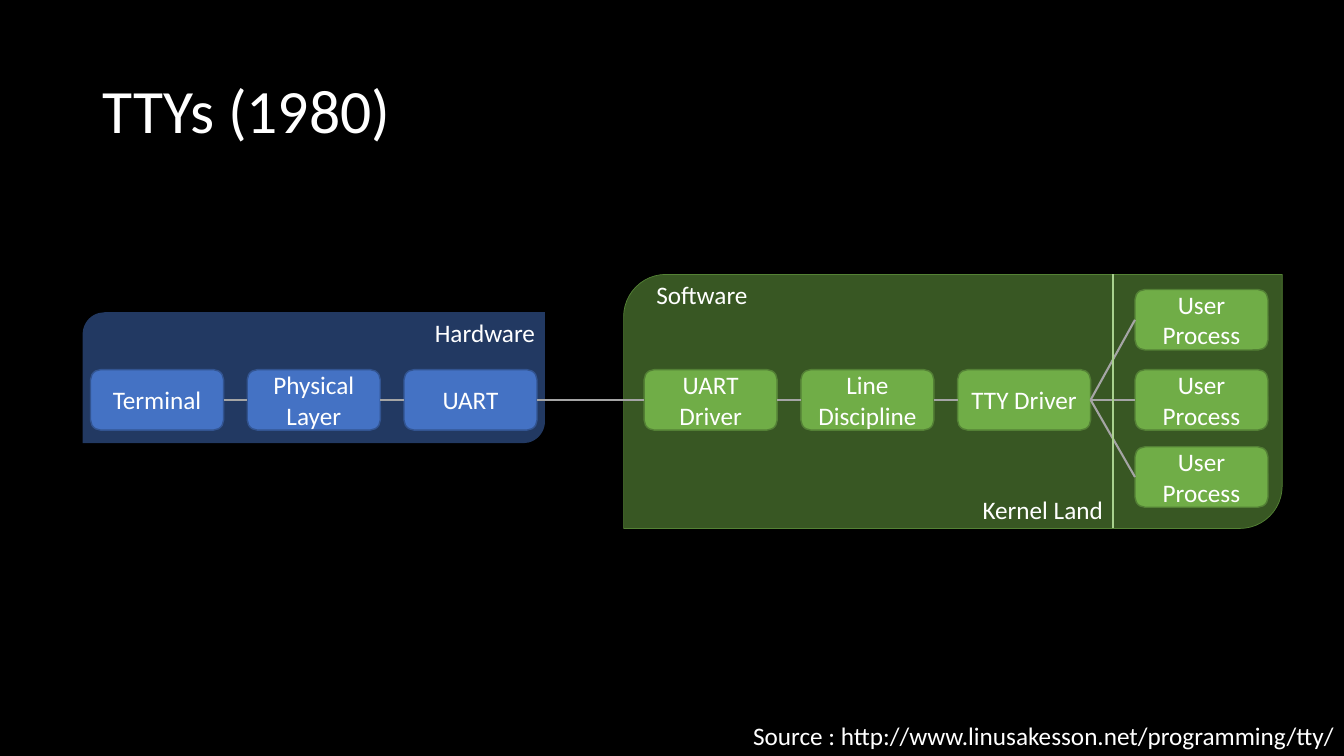
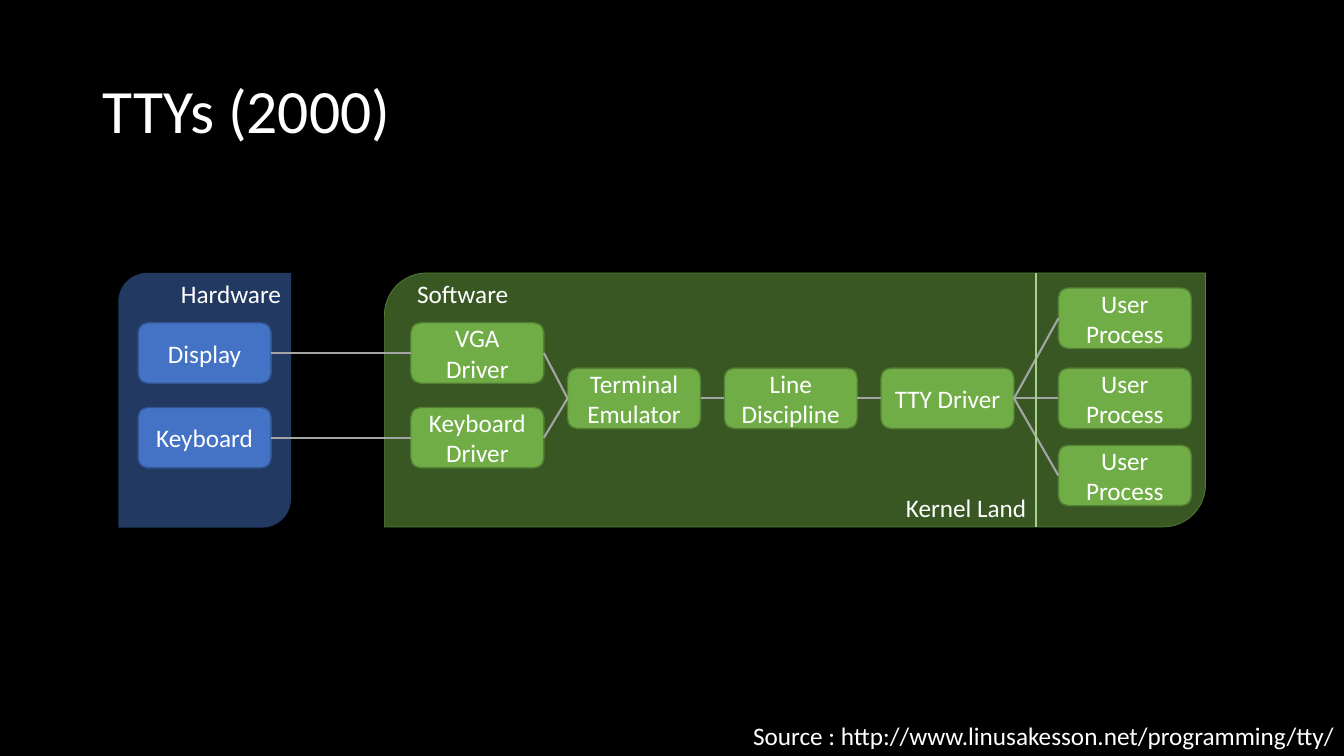
"""Build two slides on how terminals reach user processes."""
import itertools

import lxml.etree
import pptx
import pptx.dml.color
import pptx.enum.shapes
import pptx.enum.text
import pptx.oxml.ns
import pptx.util

RGB = pptx.dml.color.RGBColor
SHAPE = pptx.enum.shapes.MSO_SHAPE
ALIGN = pptx.enum.text.PP_ALIGN
ANCHOR = pptx.enum.text.MSO_ANCHOR
QN = pptx.oxml.ns.qn

BLACK = RGB(0x00, 0x00, 0x00)
WHITE = RGB(0xFF, 0xFF, 0xFF)
BLUE = RGB(0x44, 0x72, 0xC4)
NAVY = RGB(0x32, 0x54, 0x91)
GREEN = RGB(0x70, 0xAD, 0x47)
OLIVE = RGB(0x53, 0x80, 0x35)
FOREST = RGB(0x38, 0x57, 0x23)
MOSS = RGB(0x54, 0x82, 0x35)
LIME = RGB(0xA9, 0xD1, 0x8E)
GREY = RGB(0xA5, 0xA5, 0xA5)

WIDE, HIGH = pptx.util.Inches(13.33), pptx.util.Inches(7.5)
NODE_W, NODE_H, PITCH = 9.9, 8, 11.66
LABEL_H = 5.33
ROWS = {1: [12.6], 2: [6.6, 17.8], 3: [2, 12.6, 22.8]}
BODY = {"size": pptx.util.Pt(18), "name": "Calibri"}
HEAD = {"size": pptx.util.Pt(44), "name": "Calibri"}
SOURCE = "Source : http://www.linusakesson.net/programming/tty/"


def scale(x, y):
    """Turn shares of the slide in percent into lengths."""
    return round(WIDE * x / 100), round(HIGH * y / 100)


def area(box):
    """Turn a box in percent into left, top, width and height."""
    return scale(*box[:2]) + scale(*box[2:])


def write(shape, text, font, **form):
    """Put one styled paragraph into a shape."""
    frame = shape.text_frame
    frame.word_wrap = True
    frame.vertical_anchor = form.pop("anchor", ANCHOR.TOP)
    para = frame.paragraphs[0]
    para.text = text
    for key, value in form.items():
        setattr(para, key, value)
    for key, value in font.items():
        setattr(para.font, key, value)
    para.font.color.rgb = WHITE


def label(slide, box, text, font=BODY, **form):
    """Add a text box."""
    write(slide.shapes.add_textbox(*area(box)), text, font, **form)


def block(slide, kind, box, fill, edge=None, width=1):
    """Add a filled shape with an optional outline."""
    shape = slide.shapes.add_shape(kind, *area(box))
    shape.shadow.inherit = False
    shape.fill.solid()
    shape.fill.fore_color.rgb = fill
    if edge is None:
        shape.line.fill.background()
    else:
        shape.line.color.rgb = edge
        shape.line.width = pptx.util.Pt(width)
    return shape


def wire(slide, start, end, color=GREY):
    """Add a straight line between two points."""
    line = slide.shapes.add_connector(
        pptx.enum.shapes.MSO_CONNECTOR.STRAIGHT, *start, *end)
    line.line.color.rgb = color
    line.line.width = pptx.util.Pt(1.5)
    lxml.etree.SubElement(line._element.spPr, QN("a:effectLst"))
    return line


def join(slide, left, right):
    """Join the right side of one node to the left side of another."""
    line = wire(slide, (0, 0), (0, 0))
    line.begin_connect(left, 3)
    line.end_connect(right, 1)


def stack(slide, x, top, rows, names, fill, edge):
    """Add a column of nodes."""
    nodes = []
    for row, name in zip(rows, names):
        box = x, top + row, NODE_W, NODE_H
        node = block(slide, SHAPE.ROUNDED_RECTANGLE, box, fill, edge)
        write(node, name, BODY, alignment=ALIGN.CENTER, anchor=ANCHOR.MIDDLE)
        nodes.append(node)
    return nodes


def chain(slide, stacks):
    """Join every node to all nodes of the next column."""
    for left, right in zip(stacks, stacks[1:]):
        for pair in itertools.product(left, right):
            join(slide, *pair)


def hardware(slide, box, stages, rows):
    """Draw the hardware panel and return its last column."""
    x, y, w, h = box
    panel = block(slide, SHAPE.ROUND_2_DIAG_RECTANGLE, box, BLUE)
    tint = panel._element.spPr.find(QN("a:solidFill"))[0]
    lxml.etree.SubElement(tint, QN("a:alpha"), val="50000")
    first = x + (w - NODE_W - PITCH * (len(stages) - 1)) / 2
    stacks = [stack(slide, first + i * PITCH, y, rows, names, BLUE, NAVY)
              for i, names in enumerate(stages)]
    label(slide, (x, y, w, LABEL_H), "Hardware", alignment=ALIGN.RIGHT)
    chain(slide, stacks)
    return stacks[-1]


def software(slide, box, stages):
    """Draw the software panel and return its first column."""
    x, y, w, h = box
    right = x + w
    users, split, last = right - 10.95, right - 12.6, right - 24.15
    block(slide, SHAPE.ROUND_2_DIAG_RECTANGLE, box, FOREST, MOSS, 0.5)
    places = [last - i * PITCH for i in reversed(range(len(stages)))]
    stacks = [stack(slide, left, y, ROWS[len(names)], names, GREEN, OLIVE)
              for left, names in zip(places + [users],
                                     stages + [["User Process"] * 3])]
    label(slide, (x + 1.7, y, 14, LABEL_H), "Software")
    chain(slide, stacks)
    wire(slide, scale(split, y), scale(split, y + h), LIME)
    label(slide, (split - 17, y + 28.4, 17, LABEL_H), "Kernel Land",
          alignment=ALIGN.RIGHT)
    return stacks[0]


def page(deck, title, hard, soft):
    """Add a slide with a title, two joined panels and the source."""
    slide = deck.slides.add_slide(deck.slide_layouts[6])
    label(slide, (6.9, 5.33, 86.25, 19.33), title, HEAD,
          line_spacing=0.9, anchor=ANCHOR.MIDDLE)
    for pair in zip(hardware(slide, *hard), software(slide, *soft)):
        join(slide, *pair)
    label(slide, (50, 94.6, 50, LABEL_H), SOURCE, alignment=ALIGN.RIGHT)


def main():
    """Build and save the deck."""
    deck = pptx.Presentation()
    deck.slide_width, deck.slide_height = WIDE, HIGH
    back = deck.slide_master.background.fill
    back.solid()
    back.fore_color.rgb = BLACK
    page(deck, "TTYs (1980)",
         ((6.15, 41.3, 34.4, 17.33),
          [["Terminal"], ["Physical Layer"], ["UART"]], [7.6]),
         ((46.4, 36.3, 49, 33.6),
          [["UART Driver"], ["Line Discipline"], ["TTY Driver"]]))
    page(deck, "TTYs (2000)",
         ((8.8, 36.1, 12.85, 33.7), [["Display", "Keyboard"]], ROWS[2]),
         ((28.6, 36.1, 61.1, 33.6),
          [["VGA Driver", "Keyboard Driver"], ["Terminal Emulator"],
           ["Line Discipline"], ["TTY Driver"]]))
    deck.save("out.pptx")


if __name__ == "__main__":
    main()
